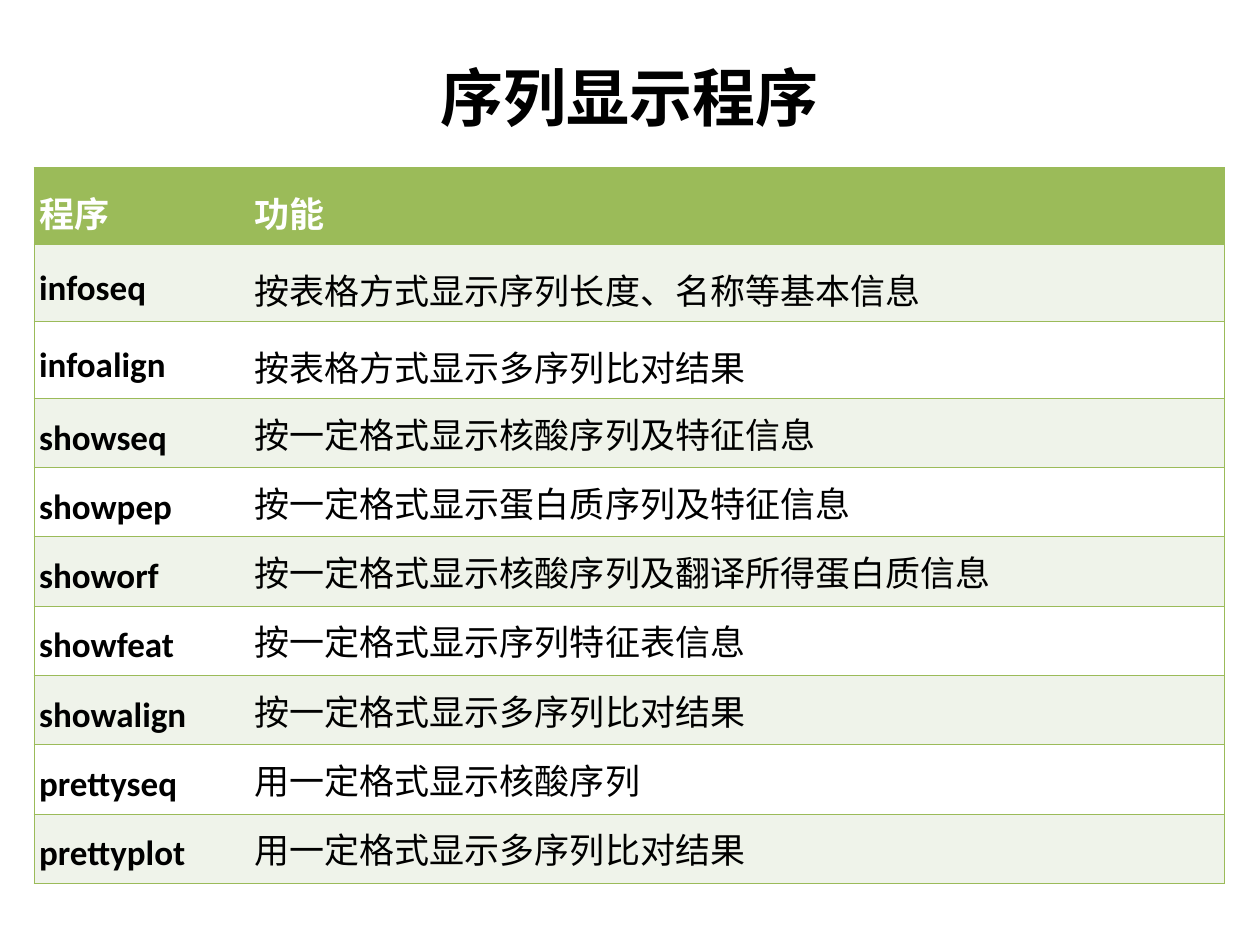
import pptx
import pptx.dml.color
import pptx.enum.text
import pptx.oxml
import pptx.oxml.ns
import pptx.util

TITLE = "序列显示程序"
HEADER = ("程序", "功能")
PROGRAMS = [
    ("infoseq", "按表格方式显示序列长度、名称等基本信息"),
    ("infoalign", "按表格方式显示多序列比对结果"),
    ("showseq", "按一定格式显示核酸序列及特征信息"),
    ("showpep", "按一定格式显示蛋白质序列及特征信息"),
    ("showorf", "按一定格式显示核酸序列及翻译所得蛋白质信息"),
    ("showfeat", "按一定格式显示序列特征表信息"),
    ("showalign", "按一定格式显示多序列比对结果"),
    ("prettyseq", "用一定格式显示核酸序列"),
    ("prettyplot", "用一定格式显示多序列比对结果"),
]
COLORS = {"green": "9BBB59", "band": "EFF3EA", "white": "FFFFFF", "black": "000000"}
FONT = "Calibri"
LEFT, WIDTH = 0.27, 9.45
TABLE_TOP = 1.33
LOOSE_HEIGHT, ROW_HEIGHT = 0.61, 0.55
COLUMN_WIDTHS = (1.71, 7.74)
LOOSE_ROWS = 3
BORDER_SIDES = (("L", "T", "B"), ("R", "T", "B"))

Inches = pptx.util.Inches
ALIGN = pptx.enum.text.PP_ALIGN
MIDDLE = pptx.enum.text.MSO_ANCHOR.MIDDLE


def set_values(target, values):
    for name, value in values.items():
        setattr(target, name, value)


def write(para, text, size, color, bold):
    span = para.add_run()
    span.text = text
    set_values(span.font, {"name": FONT, "size": pptx.util.Pt(size), "bold": bold})
    span.font.color.rgb = pptx.dml.color.RGBColor.from_string(COLORS[color])


def draw_borders(cell, sides):
    properties = cell._tc.get_or_add_tcPr()
    for position, side in enumerate("LRTB"):
        paint = "<a:noFill/>"
        if side in sides:
            paint = f'<a:solidFill><a:srgbClr val="{COLORS["green"]}"/></a:solidFill>'
        line = pptx.oxml.parse_xml(
            f'<a:ln{side} {pptx.oxml.ns.nsdecls("a")} w="{pptx.util.Pt(0.45)}">{paint}</a:ln{side}>'
        )
        properties.insert(position, line)


def add_title(page):
    box = page.shapes.add_textbox(Inches(LEFT), Inches(0.37), Inches(WIDTH), Inches(0.79))
    set_values(box.text_frame, {
        "word_wrap": True, "vertical_anchor": MIDDLE,
        "margin_left": Inches(0.14), "margin_right": Inches(0.14),
        "margin_top": Inches(0.08), "margin_bottom": Inches(0.08),
    })
    para = box.text_frame.paragraphs[0]
    para.alignment = ALIGN.CENTER
    write(para, TITLE, 36, "black", True)


def add_program_table(page):
    rows = [HEADER, *PROGRAMS]
    heights = [LOOSE_HEIGHT if number < LOOSE_ROWS else ROW_HEIGHT for number in range(len(rows))]
    table = page.shapes.add_table(
        len(rows), len(HEADER), Inches(LEFT), Inches(TABLE_TOP),
        Inches(WIDTH), Inches(sum(heights)),
    ).table
    for column, width in zip(table.columns, COLUMN_WIDTHS):
        column.width = Inches(width)
    for row_number, row in enumerate(rows):
        table.rows[row_number].height = Inches(heights[row_number])
        is_header = row_number == 0
        fill = "green" if is_header else "band" if row_number % 2 else "white"
        for column_number, text in enumerate(row):
            cell = table.cell(row_number, column_number)
            set_values(cell, {
                "vertical_anchor": MIDDLE,
                "margin_left": Inches(0.04), "margin_right": Inches(0.04),
                "margin_top": Inches(0.05), "margin_bottom": Inches(0.05),
            })
            cell.fill.solid()
            cell.fill.fore_color.rgb = pptx.dml.color.RGBColor.from_string(COLORS[fill])
            draw_borders(cell, BORDER_SIDES[column_number])
            para = cell.text_frame.paragraphs[0]
            if column_number == 0 or row_number < LOOSE_ROWS:
                para.line_spacing = 1.25
            else:
                para.alignment = ALIGN.JUSTIFY
            write(para, text, 20, "white" if is_header else "black",
                  is_header or column_number == 0)


def main():
    deck = pptx.Presentation()
    set_values(deck, {"slide_width": Inches(10), "slide_height": Inches(7.5)})
    page = deck.slides.add_slide(deck.slide_layouts[6])
    add_title(page)
    add_program_table(page)
    deck.save("out.pptx")


if __name__ == "__main__":
    main()
